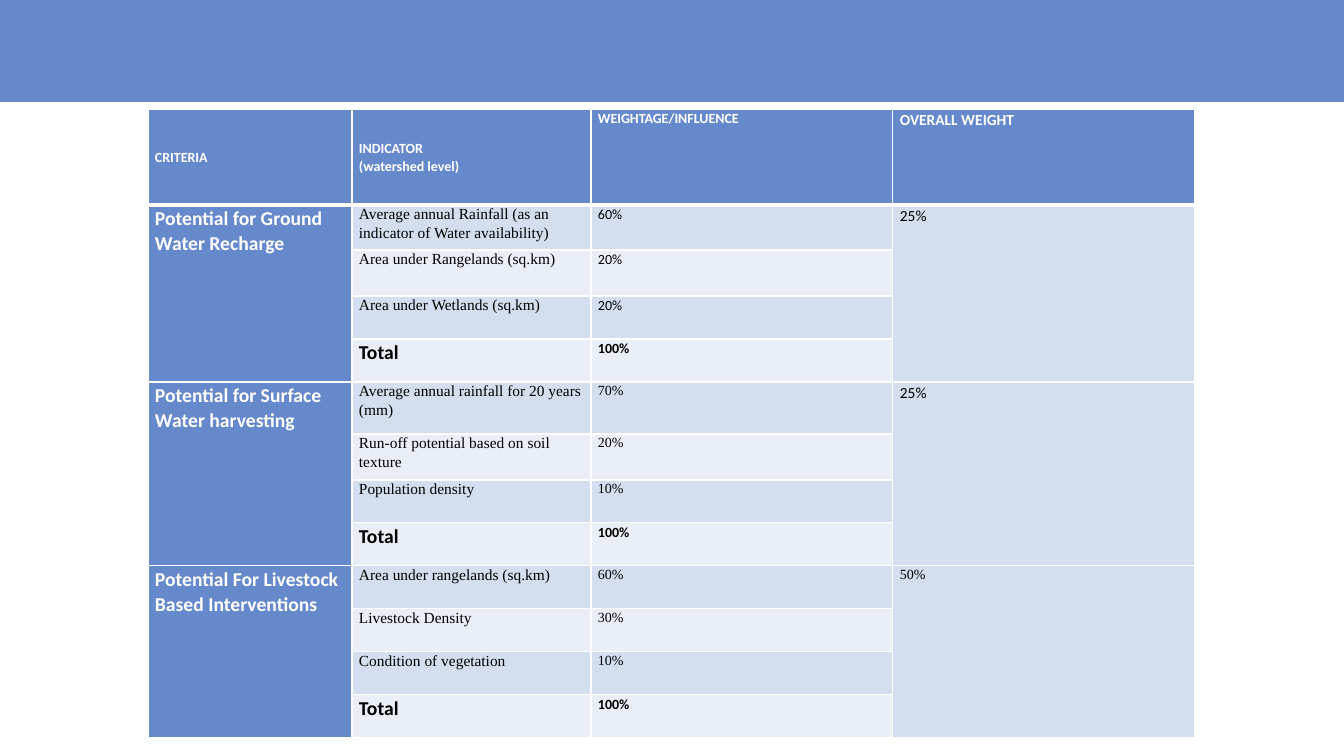
from dataclasses import dataclass

from lxml.etree import SubElement
from pptx import Presentation
from pptx.dml.color import RGBColor
from pptx.enum.shapes import MSO_SHAPE as Shape
from pptx.enum.text import MSO_ANCHOR as Anchor
from pptx.oxml.ns import qn
from pptx.util import Emu, Pt

EMU_PER_PX = 914400 / 100.8
BLUE, WHITE, BLACK = "6689CC", "FFFFFF", "000000"
BANDS = ("D3DFEE", "EAEFF7")
SANS, SERIF = "Calibri", "Times New Roman"
COLUMNS = (204, 239, 302, 302)
HEADER_HEIGHT = 96


@dataclass(frozen=True)
class Style:
    size: int
    font: str = SANS
    color: str = BLACK
    bold: bool = False


@dataclass(frozen=True)
class Indicator:
    name: str
    influence: str
    height: int = 43


@dataclass(frozen=True)
class Criterion:
    name: str
    indicators: tuple[Indicator, ...]
    influence_style: Style
    weight: str
    weight_style: Style


HEADING = Style(10, color=WHITE, bold=True)
WEIGHT_HEADING = Style(11, color=WHITE, bold=True)
CRITERION = Style(14, color=WHITE, bold=True)
INDICATOR = Style(11, SERIF)
TOTAL = Style(14, bold=True)
TOTAL_INFLUENCE = Style(10, bold=True)
SANS_SMALL, SANS_LARGE, SERIF_SMALL = Style(10), Style(11), Style(10, SERIF)

HEADINGS = (
    ("CRITERIA", HEADING, Anchor.MIDDLE),
    ("INDICATOR\n(watershed level)", HEADING, Anchor.MIDDLE),
    ("WEIGHTAGE/INFLUENCE", HEADING, Anchor.TOP),
    ("OVERALL WEIGHT", WEIGHT_HEADING, Anchor.TOP),
)
ALL_INDICATORS = Indicator("Total", "100%")
CRITERIA = (
    Criterion("Potential for Ground Water Recharge", (
        Indicator("Average annual Rainfall (as an indicator of Water availability)", "60%", 45),
        Indicator("Area under Rangelands (sq.km)", "20%", 46),
        Indicator("Area under Wetlands (sq.km)", "20%"),
        ALL_INDICATORS,
    ), SANS_SMALL, "25%", SANS_LARGE),
    Criterion("Potential for Surface Water harvesting", (
        Indicator("Average annual rainfall for 20 years (mm)", "70%", 52),
        Indicator("Run-off potential based on soil texture", "20%", 46),
        Indicator("Population density", "10%"),
        ALL_INDICATORS,
    ), SERIF_SMALL, "25%", SANS_LARGE),
    Criterion("Potential For Livestock Based Interventions", (
        Indicator("Area under rangelands (sq.km)", "60%"),
        Indicator("Livestock Density", "30%"),
        Indicator("Condition of vegetation", "10%"),
        ALL_INDICATORS,
    ), SERIF_SMALL, "50%", SERIF_SMALL),
)


def px(length: int) -> Emu:
    return Emu(round(length * EMU_PER_PX))


def rgb(value: str) -> RGBColor:
    return RGBColor.from_string(value)


def add_borders(cell, top: int, bottom: int) -> None:
    properties = cell._tc.get_or_add_tcPr()
    for side, width in (("L", 1), ("R", 1), ("T", top), ("B", bottom)):
        line = SubElement(properties, qn(f"a:ln{side}"), w=str(Pt(width)))
        SubElement(SubElement(line, qn("a:solidFill")), qn("a:srgbClr"), val=WHITE)


def write_cell(cell, text: str, style: Style, anchor=Anchor.TOP) -> None:
    cell.text_frame.text = text
    cell.vertical_anchor = anchor
    for paragraph in cell.text_frame.paragraphs:
        paragraph.line_spacing = 1.07
        for run in paragraph.runs:
            run.font.size = Pt(style.size)
            run.font.name = style.font
            run.font.bold = style.bold
            run.font.color.rgb = rgb(style.color)


def add_banner(slide) -> None:
    banner = slide.shapes.add_shape(Shape.RECTANGLE, 0, 0, px(1344), px(101))
    banner.shadow.inherit = False
    banner.fill.solid()
    banner.fill.fore_color.rgb = rgb(BLUE)
    banner.line.color.rgb = rgb(BLUE)
    banner.line.width = Pt(2)


def format_grid(weights) -> None:
    for row_index, row in enumerate(weights.rows):
        for column_index, cell in enumerate(row.cells):
            add_borders(cell, 3 if row_index == 1 else 1, 3 if row_index == 0 else 1)
            cell.margin_left = cell.margin_right = px(7)
            cell.margin_top = cell.margin_bottom = 0
            is_heading = row_index == 0 or column_index == 0
            cell.fill.solid()
            cell.fill.fore_color.rgb = rgb(BLUE if is_heading else BANDS[(row_index - 1) % 2])


def fill_criterion(weights, criterion: Criterion, first: int) -> None:
    last = first + len(criterion.indicators) - 1
    for column in (0, 3):
        weights.cell(first, column).merge(weights.cell(last, column))
    write_cell(weights.cell(first, 0), criterion.name, CRITERION)
    write_cell(weights.cell(first, 3), criterion.weight, criterion.weight_style)
    for row, indicator in enumerate(criterion.indicators, first):
        is_total = indicator is ALL_INDICATORS
        write_cell(weights.cell(row, 1), indicator.name, TOTAL if is_total else INDICATOR)
        write_cell(weights.cell(row, 2), indicator.influence,
                   TOTAL_INFLUENCE if is_total else criterion.influence_style)


def add_weights(slide) -> None:
    heights = [HEADER_HEIGHT] + [i.height for c in CRITERIA for i in c.indicators]
    weights = slide.shapes.add_table(len(heights), len(COLUMNS), px(148), px(109),
                                     px(sum(COLUMNS)), px(sum(heights))).table
    weights.first_row = weights.horz_banding = False
    for column, width in zip(weights.columns, COLUMNS):
        column.width = px(width)
    for row, height in zip(weights.rows, heights):
        row.height = px(height)
    format_grid(weights)
    for column, (text, style, anchor) in enumerate(HEADINGS):
        write_cell(weights.cell(0, column), text, style, anchor)
    first = 1
    for criterion in CRITERIA:
        fill_criterion(weights, criterion, first)
        first += len(criterion.indicators)


def main() -> None:
    deck = Presentation()
    deck.slide_width, deck.slide_height = px(1344), px(756)
    slide = deck.slides.add_slide(deck.slide_layouts[6])
    add_banner(slide)
    add_weights(slide)
    deck.save("out.pptx")


if __name__ == "__main__":
    main()
